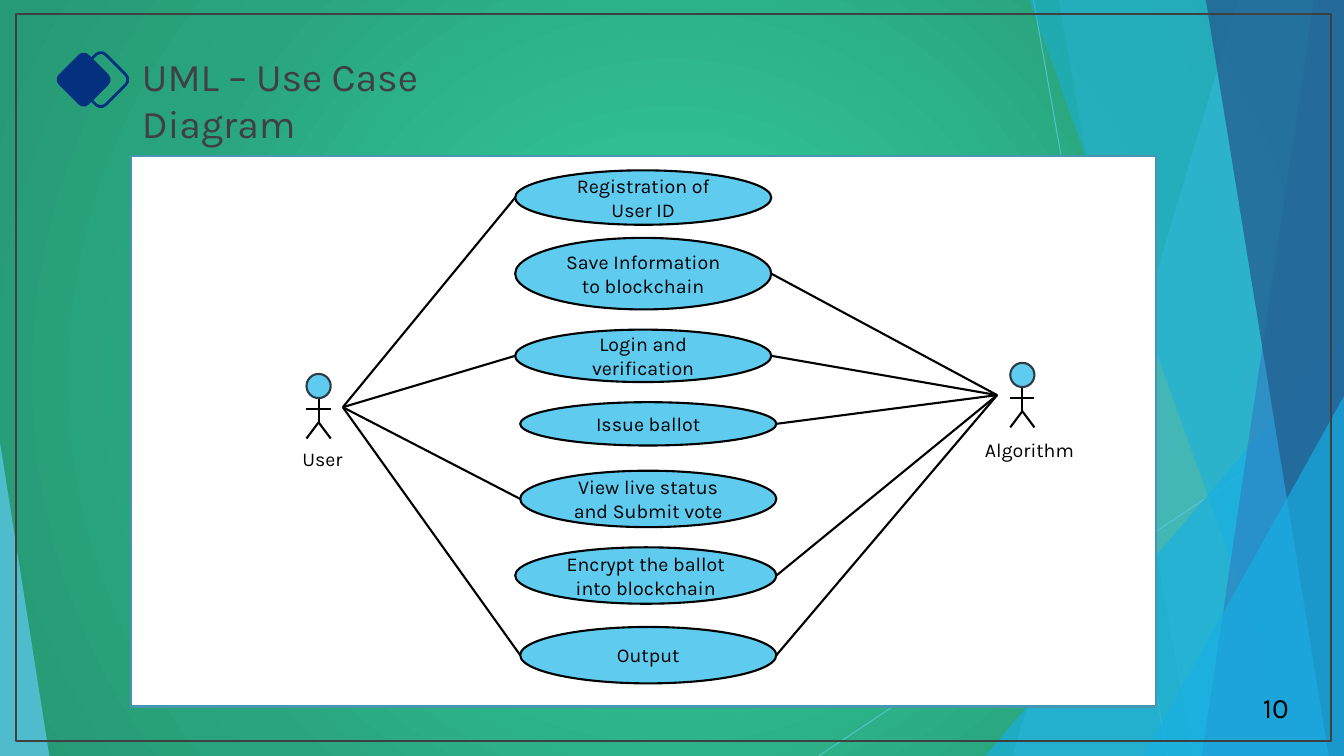
from lxml import etree
from pptx import Presentation
from pptx.dml.color import RGBColor
from pptx.enum.shapes import MSO_CONNECTOR, MSO_SHAPE as Preset
from pptx.enum.text import MSO_ANCHOR as Anchor, PP_ALIGN as Align
from pptx.oxml import parse_xml
from pptx.oxml.ns import nsdecls, qn
from pptx.util import Inches, Pt

SKY = RGBColor(0x5F, 0xCB, 0xEF)
AZURE = RGBColor(0x17, 0xB0, 0xE4)
BLUE = RGBColor(0x2E, 0x83, 0xC3)
DEEP_BLUE = RGBColor(0x22, 0x62, 0x92)
NAVY = RGBColor(0x03, 0x31, 0x80)
GRAY = RGBColor(0x40, 0x40, 0x40)
SLATE = RGBColor(0x2C, 0x3C, 0x43)
TEAL = RGBColor(0x46, 0x96, 0xB1)
WHITE = RGBColor(0xFF, 0xFF, 0xFF)
BLACK = RGBColor(0, 0, 0)
WIDTH, HEIGHT = 13.33, 7.5

deck = Presentation()
deck.slide_width, deck.slide_height = Inches(WIDTH), Inches(HEIGHT)
page = deck.slides.add_slide(deck.slide_layouts[6])


def paint(shape, fill=None, line=None, width=1.5, alpha=100):
    """Set fill, outline and fill opacity, without shadow."""
    shape.shadow.inherit = False
    if fill is None:
        shape.fill.background()
    else:
        shape.fill.solid()
        shape.fill.fore_color.rgb = fill
        if alpha < 100:
            color = shape.fill._xPr.find(qn("a:solidFill"))[0]
            etree.SubElement(color, qn("a:alpha"), val=str(alpha * 1000))
    if line is None:
        shape.line.fill.background()
    else:
        shape.line.color.rgb = line
        shape.line.width = Pt(width)


def write(shape, text, size, color=BLACK, align=Align.LEFT, anchor=Anchor.TOP):
    """Put one wrapped paragraph into a shape or text box."""
    shape.text_frame.word_wrap = True
    shape.text_frame.vertical_anchor = anchor
    para = shape.text_frame.paragraphs[0]
    para.text = text
    para.alignment = align
    para.font.name = "Karla"
    para.font.size = Pt(size)
    para.font.color.rgb = color


# Radial background
page.background.fill.gradient()
gradient = page.background.fill._xPr.find(qn("a:gradFill"))
stops = "".join(
    f'<a:gs pos="{place * 1000}"><a:srgbClr val="{color}"/></a:gs>'
    for place, color in [(0, "31C394"), (23, "31C394"), (69, "29A57D"), (97, "269A74")])
gradient.getparent().replace(gradient, parse_xml(
    f'<a:gradFill {nsdecls("a")} rotWithShape="1"><a:gsLst>{stops}</a:gsLst>'
    '<a:path path="circle"><a:fillToRect l="50000" t="50000" r="50000" b="50000"/>'
    '</a:path></a:gradFill>'))

# Lines: thin decorative ones now, diagram ones collected below
lines = [((10.25, 0), (11.58, HEIGHT), SKY, 0.75, 70),
         ((WIDTH, 4.03), (8.12, HEIGHT), SKY, 0.75, 70)]
decorative_count = len(lines)

# Stick figures: left, top of head, hand point, label, label box
actors = {
    "User": (3.04, 3.71, (3.4, 4.04), (2.9, 4.38, 1)),
    "Algorithm": (10.02, 3.6, (9.89, 3.92), (9.67, 4.3, 1.36)),
}
for left, top, hand, label_box in actors.values():
    middle, right, hip = left + 0.12, left + 0.24, top + 0.48
    for start, end in [((middle, top + 0.24), (middle, hip)),
                       ((left, top + 0.35), (right, top + 0.35)),
                       ((middle, hip), (left, top + 0.64)),
                       ((middle, hip), (right, top + 0.64))]:
        lines.append((start, end, BLACK, 1.5, 100))

# Use cases: text, left, top, width, height, linked actors
cases = [
    ("Registration of User ID", 5.11, 1.69, 2.54, 0.54, ["User"]),
    ("Save Information to blockchain", 5.11, 2.36, 2.54, 0.71, ["Algorithm"]),
    ("Login and verification", 5.11, 3.27, 2.54, 0.52, ["User", "Algorithm"]),
    ("Issue ballot", 5.16, 3.99, 2.54, 0.43, ["Algorithm"]),
    ("View live status and Submit vote", 5.16, 4.67, 2.54, 0.56, ["User"]),
    ("Encrypt the ballot into blockchain", 5.11, 5.43, 2.59, 0.56, ["Algorithm"]),
    ("Output", 5.16, 6.22, 2.54, 0.56, ["User", "Algorithm"]),
]
for text, left, top, width, height, linked in cases:
    for name in linked:
        side = left if name == "User" else left + width
        lines.append((actors[name][2], (side, top + height / 2), BLACK, 1.5, 100))

# Draw the lines; the facets and white panel follow the decorative ones
for index, (start, end, color, width, alpha) in enumerate(lines):
    if index == decorative_count:
        # Facets: slanted panes (top x, bottom x) and corner triangles (box)
        for outline, fill, opacity in [
                ((12.28, 10.04), SKY, 36),
                ((10.5, 11.83), SKY, 20),
                ((9.77, 3.33, 3.56, 4.17), AZURE, 66),
                ((10.21, 12.91), AZURE, 50),
                ((13.03, 11.92), BLUE, 70),
                ((11.96, 13.18), DEEP_BLUE, 80),
                ((11.34, 3.93, 1.99, 3.57), AZURE, 66),
                ((0, 4.39, 0.49, 3.11), SKY, 70)]:
            if len(outline) == 2:
                upper, lower = outline
                builder = page.shapes.build_freeform(Inches(upper), 0)
                builder.add_line_segments([(Inches(x), Inches(y)) for x, y in [
                    (WIDTH, 0), (WIDTH, HEIGHT), (lower, HEIGHT)]])
                facet = builder.convert_to_shape()
            else:
                facet = page.shapes.add_shape(
                    Preset.ISOSCELES_TRIANGLE, *map(Inches, outline))
                facet.adjustments[0] = 1 if outline[0] > 0 else 0
            paint(facet, fill, alpha=opacity)

        # Title with two diamonds
        for left, fill, outline in [(0.79, None, NAVY), (0.62, NAVY, None)]:
            diamond = page.shapes.add_shape(
                Preset.ROUNDED_RECTANGLE, *map(Inches, (left, 0.58, 0.42, 0.42)))
            diamond.rotation = 45
            paint(diamond, fill, outline, 2)
        title = page.shapes.add_textbox(*map(Inches, (1.31, 0.47, 4.41, 0.57)))
        write(title, "UML – Use Case Diagram", 28, GRAY)

        # Frame, page number and white panel
        frame = page.shapes.add_shape(
            Preset.RECTANGLE, *map(Inches, (0.16, 0.14, 13.04, 7.21)))
        paint(frame, None, GRAY)
        number = page.shapes.add_textbox(*map(Inches, (12.26, 6.82, 0.79, 0.4)))
        write(number, "10", 20, align=Align.CENTER, anchor=Anchor.MIDDLE)
        panel = page.shapes.add_shape(
            Preset.RECTANGLE, *map(Inches, (1.3, 1.55, 10.17, 5.46)))
        paint(panel, WHITE, TEAL)

    line = page.shapes.add_connector(
        MSO_CONNECTOR.STRAIGHT, *map(Inches, (*start, *end)))
    line.line.color.rgb = color
    line.line.width = Pt(width)
    if alpha < 100:
        shade = line.line.fill._xPr.find(qn("a:solidFill"))[0]
        etree.SubElement(shade, qn("a:alpha"), val=str(alpha * 1000))
    etree.SubElement(line._element.spPr, qn("a:effectLst"))

# Use case ellipses
for text, left, top, width, height, linked in cases:
    ellipse = page.shapes.add_shape(
        Preset.OVAL, *map(Inches, (left, top, width, height)))
    paint(ellipse, SKY, BLACK)
    write(ellipse, text, 14, align=Align.CENTER, anchor=Anchor.MIDDLE)

# Actor heads and names
for name, (left, top, hand, (label_left, label_top, label_width)) in actors.items():
    head = page.shapes.add_shape(
        Preset.FLOWCHART_CONNECTOR, *map(Inches, (left, top, 0.24, 0.24)))
    paint(head, SKY, SLATE)
    label = page.shapes.add_textbox(
        *map(Inches, (label_left, label_top, label_width, 0.34)))
    write(label, name, 14)

deck.save("out.pptx")
